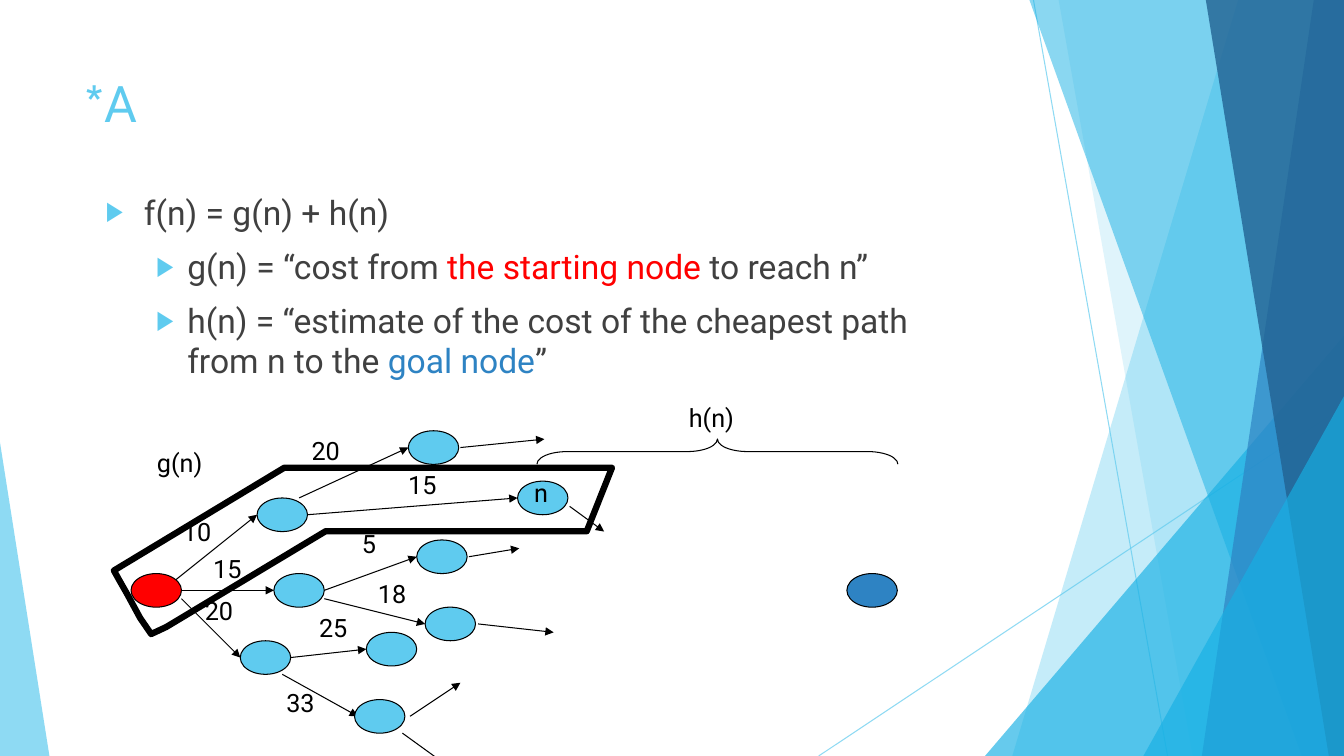
"""Builds the A* slide: cost formula above a search tree with g(n) and h(n) marked."""
from lxml.etree import SubElement as Sub
from pptx import Presentation
from pptx.dml.color import RGBColor as Rgb
from pptx.enum.shapes import MSO_CONNECTOR as Link, MSO_SHAPE as Kind
from pptx.enum.text import MSO_ANCHOR as Anchor, MSO_AUTO_SIZE as Fit
from pptx.oxml.ns import qn
from pptx.util import Inches as In, Pt

HUE = {"sky": "5FCBEF", "cyan": "17B0E4", "blue": "2E83C3", "navy": "226292",
       "red": "FF0000", "gray": "404040", "black": "000000"}
WIDE, HIGH = 13.33, 7.5
LEFT, TOP, UNIT = 1.3, 5.69, 1 / 12


def paint(form, fill=None, alpha=100, line=None, width=0.75):
    """Set fill, its opacity and the outline of a shape."""
    form.shadow.inherit = False
    if fill:
        form.fill.solid()
        form.fill.fore_color.rgb = Rgb.from_string(HUE[fill])
        if alpha < 100:
            tint = form.fill._xPr.find(".//" + qn("a:srgbClr"))
            Sub(tint, qn("a:alpha"), val=str(alpha * 1000))
    else:
        form.fill.background()
    if line:
        form.line.color.rgb = Rgb.from_string(HUE[line])
        form.line.width = Pt(width)
    else:
        form.line.fill.background()


def write(para, text, size, hue):
    """Add one run in the slide's font."""
    run = para.add_run()
    run.text = text
    run.font.name = "Roboto"
    run.font.size = Pt(size)
    run.font.color.rgb = Rgb.from_string(HUE[hue])


deck = Presentation()
deck.slide_width, deck.slide_height = In(WIDE), In(HIGH)
slide = deck.slides.add_slide(deck.slide_layouts[5])
shapes = slide.shapes

for start, end in [((10.25, 0), (11.58, HIGH)), ((WIDE, 4.03), (8.12, HIGH))]:
    ray = shapes.add_connector(Link.STRAIGHT, *map(In, start + end))
    ray.line.color.rgb = Rgb.from_string(HUE["sky"])
    ray.line.width = Pt(0.75)
    tint = ray._element.spPr.find(".//" + qn("a:srgbClr"))
    Sub(tint, qn("a:alpha"), val="70000")
    Sub(ray._element.spPr, qn("a:effectLst"))

bands = [
    (12.28, 10.04, "sky", 36), (10.5, 11.83, "sky", 20),
    (9.77, 3.33, "cyan", 66, 1), (10.21, 12.91, "cyan", 50),
    (13.03, 11.92, "blue", 70), (11.96, 13.18, "navy", 80),
    (11.34, 3.93, "cyan", 66, 1), (0, 4.39, "sky", 70, 0),
]
for x, low, hue, alpha, *peak in bands:
    if peak:
        span = WIDE - x if peak[0] else 0.49
        band = shapes.add_shape(Kind.ISOSCELES_TRIANGLE, In(x), In(low), In(span), In(HIGH - low))
        band.adjustments[0] = peak[0]
    else:
        pen = shapes.build_freeform(In(x), 0)
        pen.add_line_segments([(In(a), In(b)) for a, b in [(WIDE, 0), (WIDE, HIGH), (low, HIGH)]])
        band = pen.convert_to_shape()
    paint(band, hue, alpha)

title = shapes.title
title.left, title.top, title.width, title.height = map(In, (0.74, 0.67, 9.4, 1.44))
shapes._spTree.append(title._element)
frame = title.text_frame
frame.auto_size = Fit.NONE
frame.vertical_anchor = Anchor.TOP
head = frame.paragraphs[0]
props = head._p.get_or_add_pPr()
props.set("algn", "l")
props.set("rtl", "1")
write(head, "A*", 36, "sky")

body = shapes.add_textbox(*map(In, (0.95, 1.85, 8.5, 4.5))).text_frame
body.word_wrap = True
points = [
    (0, 0.38, 0.38, [("f(n) = g(n) + h(n)", "gray")]),
    (1, 0.81, 0.31, [("g(n) = “cost from ", "gray"), ("the starting node", "red"),
                     (" to reach n”", "gray")]),
    (1, 0.81, 0.31, [("h(n) = “estimate of the cost of the cheapest path from n to the ", "gray"),
                     ("goal node", "blue"), ("”", "gray")]),
]
for row, (level, margin, hang, runs) in enumerate(points):
    para = body.add_paragraph() if row else body.paragraphs[0]
    para.level = level
    para.space_before = Pt(10)
    props = para._p.get_or_add_pPr()
    props.set("marL", str(In(margin)))
    props.set("indent", str(-In(hang)))
    Sub(Sub(props, qn("a:buClr")), qn("a:srgbClr"), val=HUE["sky"])
    Sub(props, qn("a:buSzPct"), val="80000")
    Sub(props, qn("a:buFont"), typeface="Arial")
    Sub(props, qn("a:buChar"), char="▶")
    for text, hue in runs:
        write(para, text, 24, hue)

arrows = [
    (5, 1, 15, -7), (6, 2, 17, 2), (6, 3, 13, 10),
    (21, -7, 46, -9), (23, 2, 34, -2), (19, 10, 28, 9),
    (18, 12, 27, 17), (20, -9, 33, -15), (23, 3, 35, 6),
    (33.2, 17, 39.2, 13), (32.3, 19, 39.2, 24), (41.3, 6, 50.3, 7),
    (40.2, -2, 46.2, -3), (52.2, -8, 56.3, -5), (39.2, -15, 49.2, -16),
]
for c1, r1, c2, r2 in arrows:
    arrow = shapes.add_connector(Link.STRAIGHT, In(LEFT + c1 * UNIT), In(TOP + r1 * UNIT),
                                 In(LEFT + c2 * UNIT), In(TOP + r2 * UNIT))
    arrow.line.color.rgb = Rgb.from_string(HUE["black"])
    arrow.line.width = Pt(0.75)
    Sub(arrow.line._get_or_add_ln(), qn("a:tailEnd"), type="triangle")
    Sub(arrow._element.spPr, qn("a:effectLst"))

nodes = [(0, 0, "red"), (85.2, 0, "blue")] + [(col, row, "sky") for col, row in [
    (15, -9), (17, 0), (13, 8), (33, -17), (46, -11), (34, -4), (35, 4), (28, 7), (26.6, 15)]]
for col, row, hue in nodes:
    node = shapes.add_shape(Kind.OVAL, In(LEFT + col * UNIT), In(TOP + row * UNIT),
                            In(6 * UNIT), In(4 * UNIT))
    paint(node, hue, line="black")

labels = [
    ("10", 5, -7.4, 0.53), ("15", 8.6, -3, 0.53), ("20", 7.6, 2, 0.53),
    ("20", 20.3, -17, 0.53), ("15", 31.8, -13, 0.53), ("5", 26.3, -6, 0.53),
    ("18", 28.2, 0, 0.53), ("25", 21.2, 4, 0.53), ("33", 17.3, 13, 0.53),
    ("n", 46.8, -12, 0.37), ("h(n)", 65.2, -21, 0.76), ("g(n)", 1.9, -15.6, 0.76),
]
for text, col, row, span in labels:
    label = shapes.add_textbox(In(LEFT + col * UNIT), In(TOP + row * UNIT), In(span), In(0.5))
    label.text_frame.word_wrap = True
    write(label.text_frame.paragraphs[0], text, 18, "black")

brace = shapes.add_shape(Kind.LEFT_BRACE, *map(In, (6.99, 2.69, 0.25, 3.58)))
brace.rotation = 90
brace.adjustments[0] = 1.19
paint(brace, line="black")

edge = [(1.39, 6.13), (1.26, 5.89), (1.18, 5.75), (1.13, 5.66), (2.82, 4.64),
        (6.07, 4.64), (5.82, 5.27), (3.23, 5.27), (1.65, 6.22)]
pen = shapes.build_freeform(In(1.5), In(6.29))
pen.add_line_segments([(In(x), In(y)) for x, y in edge])
paint(pen.convert_to_shape(), line="black", width=4.5)

deck.save("out.pptx")
